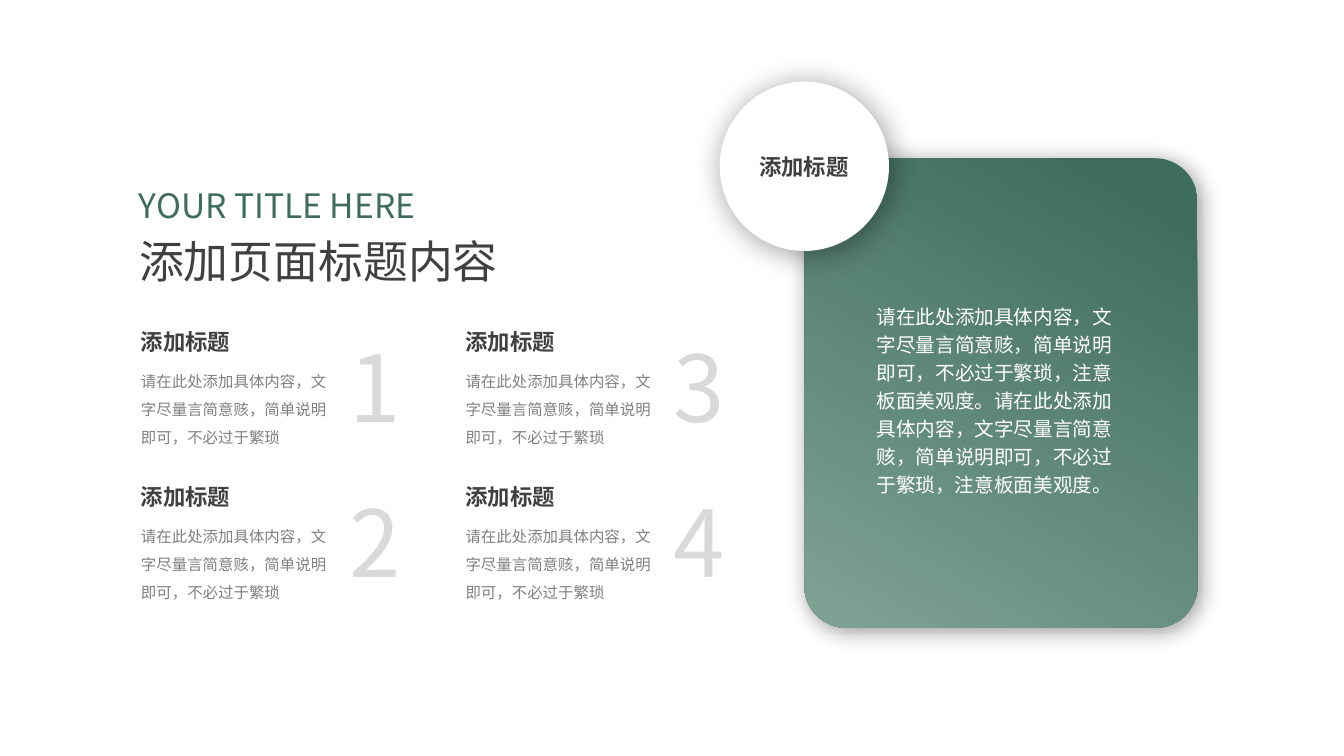
from itertools import product

from lxml.etree import SubElement
from pptx import Presentation
from pptx.dml.color import RGBColor
from pptx.enum.shapes import MSO_SHAPE
from pptx.enum.text import MSO_ANCHOR, MSO_AUTO_SIZE, PP_ALIGN
from pptx.oxml.ns import qn
from pptx.util import Inches, Pt

COLORS = {
    "green": "3F6D5C",
    "sage": "7FA395",
    "dark": "404040",
    "gray": "808080",
    "pale": "D9D9D9",
    "white": "FFFFFF",
    "black": "000000",
}
FONT = "Noto Sans CJK SC"
HEADING = "添加标题"
ITEM_TEXT = "请在此处添加具体内容，文字尽量言简意赅，简单说明即可，不必过于繁琐"
PANEL_TEXT = (ITEM_TEXT + "，注意板面美观度。") * 2


def color(name):
    return RGBColor.from_string(COLORS[name])


class SlideBuilder:
    def __init__(self, presentation):
        self.column = presentation.slide_width / 100
        self.row = presentation.slide_height / 100
        self.slide = presentation.slides.add_slide(presentation.slide_layouts[5])

    def box(self, left, top, width, height):
        return (round(left * self.column), round(top * self.row),
                round(width * self.column), round(height * self.row))

    def card(self, preset, area, blur):
        shape = self.slide.shapes.add_shape(preset, *self.box(*area))
        shape.line.fill.background()
        shape.shadow.inherit = False
        effects = shape._element.spPr.find(qn("a:effectLst"))
        shadow = SubElement(effects, qn("a:outerShdw"), blurRad=str(Pt(blur)),
                            dist=str(Pt(3)), dir="2700000", algn="tl", rotWithShape="0")
        tint = SubElement(shadow, qn("a:srgbClr"), val=COLORS["black"])
        SubElement(tint, qn("a:alpha"), val="40000")
        return shape

    def panel(self, area):
        shape = self.card(MSO_SHAPE.ROUNDED_RECTANGLE, area, 16)
        shape.adjustments[0] = 0.108
        shape.fill.gradient()
        shape.fill.gradient_angle = 240
        stops = zip(shape.fill.gradient_stops, ("green", "sage"), (0.09, 1))
        for stop, name, position in stops:
            stop.color.rgb = color(name)
            stop.position = position

    def badge(self, area):
        shape = self.card(MSO_SHAPE.OVAL, area, 22)
        shape.fill.solid()
        shape.fill.fore_color.rgb = color("white")

    def style_text(self, shape, text, size, name, bold=False, align=PP_ALIGN.LEFT,
                   spacing=None, wrap=True):
        frame = shape.text_frame
        frame.text = text
        frame.word_wrap = wrap
        frame.auto_size = MSO_AUTO_SIZE.SHAPE_TO_FIT_TEXT
        frame.vertical_anchor = MSO_ANCHOR.TOP
        paragraph = frame.paragraphs[0]
        paragraph.alignment = align
        if spacing:
            paragraph.line_spacing = Pt(spacing)
        for run in paragraph.runs:
            run.font.size = Pt(size)
            run.font.bold = bold
            run.font.color.rgb = color(name)
            run.font.name = FONT
            SubElement(run._r.get_or_add_rPr(), qn("a:ea"), typeface=FONT)

    def text(self, area, *content, **style):
        self.style_text(self.slide.shapes.add_textbox(*self.box(*area)), *content, **style)

    def title(self, area, *content, **style):
        shape = self.slide.shapes.title
        shape.left, shape.top, shape.width, shape.height = self.box(*area)
        self.style_text(shape, *content, **style)

    def item(self, number, left, top):
        self.text((left + 15.38, top + 0.2, 5.4, 16.13), str(number), 66, "pale",
                  align=PP_ALIGN.RIGHT, wrap=False)
        self.text((left, top + 4.53, 15.38, 11.87), ITEM_TEXT, 11, "gray", spacing=20)
        self.text((left, top, 8.93, 4.93), HEADING, 16, "dark", bold=True)


def main():
    presentation = Presentation()
    presentation.slide_width = Inches(13.33)
    presentation.slide_height = Inches(7.5)
    builder = SlideBuilder(presentation)

    builder.panel((59.85, 20.93, 29.25, 62.13))
    builder.badge((53.55, 10.8, 12.6, 22.4))
    builder.text((55.35, 19.6, 8.93, 4.93), HEADING, 16, "dark",
                 bold=True, align=PP_ALIGN.CENTER)
    builder.text((64.35, 39.07, 19.28, 26.93), PANEL_TEXT, 14, "white",
                 align=PP_ALIGN.CENTER, spacing=20)
    for number, (column, row) in enumerate(product(range(2), repeat=2), 1):
        builder.item(number, 9.75 + column * 24.15, 42.8 + row * 20.5)
    builder.title((9.6, 30.27, 28.43, 8.53), "添加页面标题内容", 32, "dark", wrap=False)
    builder.text((9.6, 23.87, 26.1, 6.27), "YOUR TITLE HERE", 24, "green")

    presentation.save("out.pptx")


if __name__ == "__main__":
    main()
